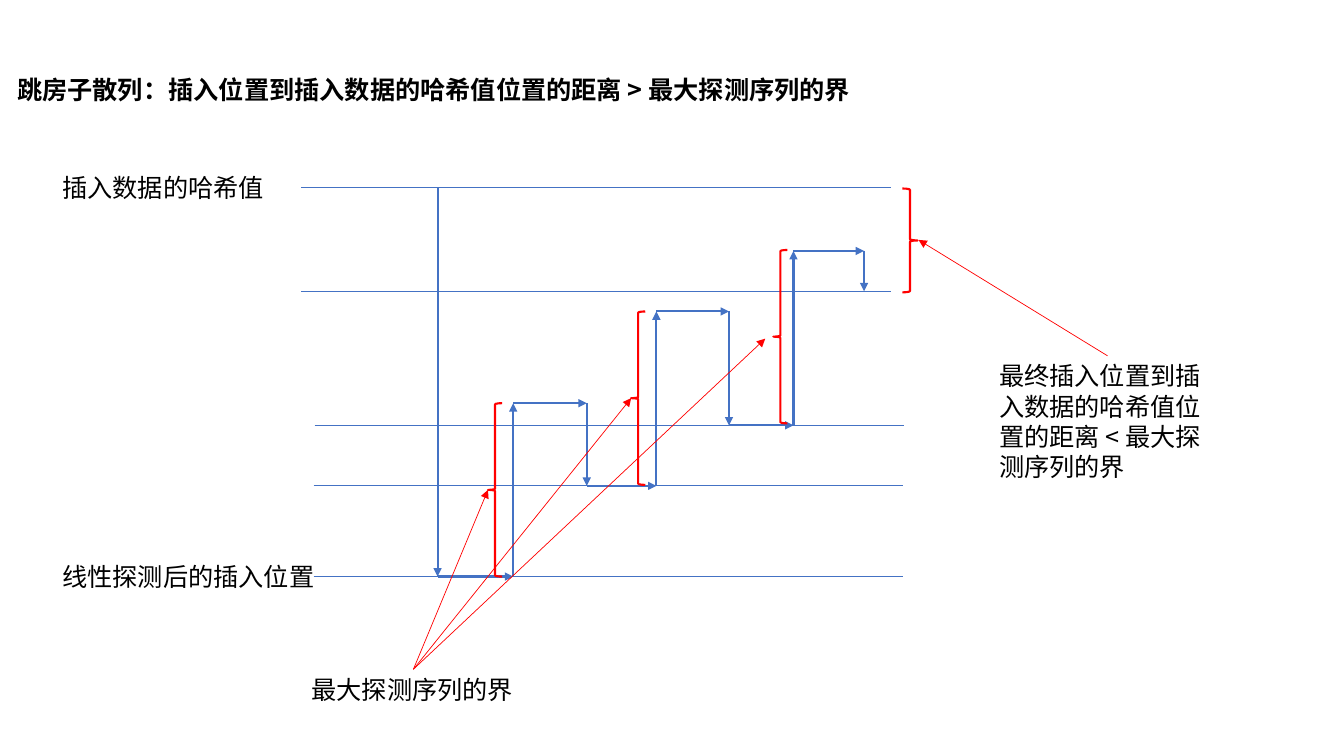
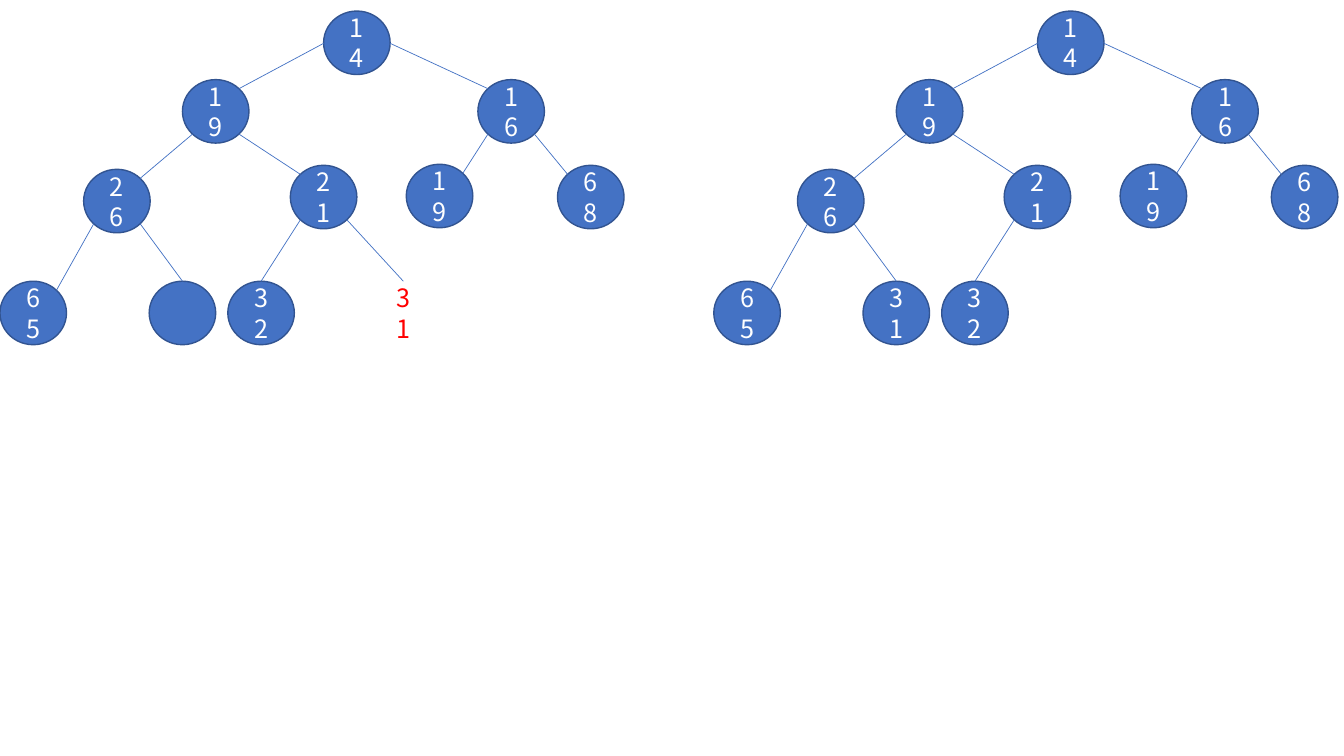
from itertools import pairwise

from lxml.etree import SubElement
from pptx import Presentation
from pptx.dml.color import RGBColor
from pptx.enum.shapes import MSO_CONNECTOR as Connector, MSO_SHAPE as Shape
from pptx.enum.text import MSO_ANCHOR as Anchor, MSO_AUTO_SIZE as AutoSize, PP_ALIGN as Align
from pptx.oxml.ns import qn
from pptx.util import Pt

PX = 9144
FONT = "Noto Sans CJK SC"
BLUE, DARK_BLUE, RED = "4472C4", "325491", "FF0000"
BLACK, WHITE = "000000", "FFFFFF"


def write(shape, text, color, align=Align.LEFT, anchor=Anchor.TOP, bold=False):
    frame = shape.text_frame
    frame.text = text
    frame.word_wrap = True
    frame.auto_size = AutoSize.NONE
    frame.vertical_anchor = anchor
    paragraph = frame.paragraphs[0]
    paragraph.alignment = align
    paragraph.font.size = Pt(18)
    paragraph.font.bold = bold
    paragraph.font.name = FONT
    paragraph.font.color.rgb = RGBColor.from_string(color)
    defaults = paragraph._p.pPr.find(qn("a:defRPr"))
    SubElement(defaults, qn("a:ea"), typeface=FONT)


def draw_line(slide, start, end, color=BLUE, width=0.5, arrow=False):
    points = [value * PX for value in (*start, *end)]
    line = slide.shapes.add_connector(Connector.STRAIGHT, *points)
    line.line.color.rgb = RGBColor.from_string(color)
    line.line.width = Pt(width)
    if arrow:
        SubElement(line.line._get_or_add_ln(), qn("a:tailEnd"), type="triangle")
    SubElement(line._element.spPr, qn("a:effectLst"))
    return line


presentation = Presentation()
presentation.slide_width = 1333 * PX
presentation.slide_height = 750 * PX

slide = presentation.slides.add_slide(presentation.slide_layouts[5])
title = slide.shapes.title
title.left, title.top, title.width, title.height = 7 * PX, 69 * PX, 853 * PX, 70 * PX
write(title, "跳房子散列：插入位置到插入数据的哈希值位置的距离 > 最大探测序列的界", BLACK, bold=True)

for left, y, width in [(299, 186, 0.5), (299, 289, 0.5), (312, 422, 0.5), (311, 482, 0.5), (311, 572, 1)]:
    draw_line(slide, (left, y), (left + 585, y), width=width)

probe_steps = [
    (434, 186), (434, 572), (509, 572), (509, 400), (582, 400), (582, 482), (651, 482),
    (651, 309), (723, 309), (723, 422), (787, 422), (787, 249), (857, 249), (857, 289),
]
for start, end in pairwise(probe_steps):
    draw_line(slide, start, end, width=1.5, arrow=True)

braces = [(484, 400, 14, 172, 0), (626, 309, 14, 172, 0), (767, 248, 14, 172, 0), (895, 187, 15, 103, 180)]
for left, top, width, height, rotation in braces:
    brace = slide.shapes.add_shape(Shape.LEFT_BRACE, left * PX, top * PX, width * PX, height * PX)
    brace.rotation = rotation
    brace.shadow.inherit = False
    brace.fill.background()
    brace.line.color.rgb = RGBColor.from_string(RED)
    brace.line.width = Pt(1.5)

labels = [
    ("插入数据的哈希值", 52, 166, 222, 40, []),
    ("线性探测后的插入位置", 52, 552, 273, 40, []),
    ("最大探测序列的界", 299, 664, 222, 40, [(484, 486), (626, 395), (759, 336)]),
    ("最终插入位置到插入数据的哈希值位置的距离 < 最大探测序列的界", 981, 353, 235, 131, [(911, 238)]),
]
for text, left, top, width, height, targets in labels:
    label = slide.shapes.add_textbox(left * PX, top * PX, width * PX, height * PX)
    write(label, text, BLACK)
    for target in targets:
        pointer = draw_line(slide, (left + width // 2, top), target, RED, arrow=True)
        pointer.begin_connect(label, 0)

slide = presentation.slides.add_slide(presentation.slide_layouts[6])
NODE_WIDTH, NODE_HEIGHT = 66, 63
SITES = {
    "top": (33, 0), "left": (0, 32), "right": (66, 32), "top left": (10, 9),
    "top right": (56, 9), "bottom left": (10, 54), "bottom right": (56, 54),
}
heap = {
    "root": ("14", 321, 11), "left": ("19", 181, 79), "right": ("16", 474, 79),
    "left left": ("26", 83, 168), "left right": ("21", 288, 164),
    "right left": ("19", 403, 163), "right right": ("68", 553, 164),
    "first leaf": ("65", 0, 279), "second leaf": ("", 148, 279),
    "third leaf": ("32", 226, 279), "fourth leaf": ("31", 367, 279),
}
edges = [
    ("root", "left", "left", "top right"),
    ("root", "right", "right", "top left"),
    ("left", "bottom left", "left left", "top right"),
    ("left", "bottom right", "left right", "top left"),
    ("right", "bottom left", "right left", "top right"),
    ("right", "bottom right", "right right", "top left"),
    ("left left", "bottom left", "first leaf", "top right"),
    ("left left", "bottom right", "second leaf", "top"),
    ("left right", "bottom left", "third leaf", "top"),
    ("left right", "bottom right", "fourth leaf", "top"),
]
filled_heap = heap | {"second leaf": ("31", 148, 279)}
del filled_heap["fourth leaf"]

for offset, nodes in [(0, heap), (708, filled_heap)]:
    for name, (text, left, top) in nodes.items():
        fill, outline, color = (WHITE, WHITE, RED) if name == "fourth leaf" else (BLUE, DARK_BLUE, WHITE)
        node = slide.shapes.add_shape(
            Shape.OVAL, (left + offset) * PX, top * PX, NODE_WIDTH * PX, NODE_HEIGHT * PX)
        node.shadow.inherit = False
        node.fill.solid()
        node.fill.fore_color.rgb = RGBColor.from_string(fill)
        node.line.color.rgb = RGBColor.from_string(outline)
        node.line.width = Pt(1)
        if text:
            write(node, text, color, Align.CENTER, Anchor.MIDDLE)
    for parent, parent_site, child, child_site in edges:
        if child in nodes:
            start, end = [
                (nodes[name][1] + SITES[site][0] + offset, nodes[name][2] + SITES[site][1])
                for name, site in [(parent, parent_site), (child, child_site)]
            ]
            draw_line(slide, start, end)

presentation.save("out.pptx")
